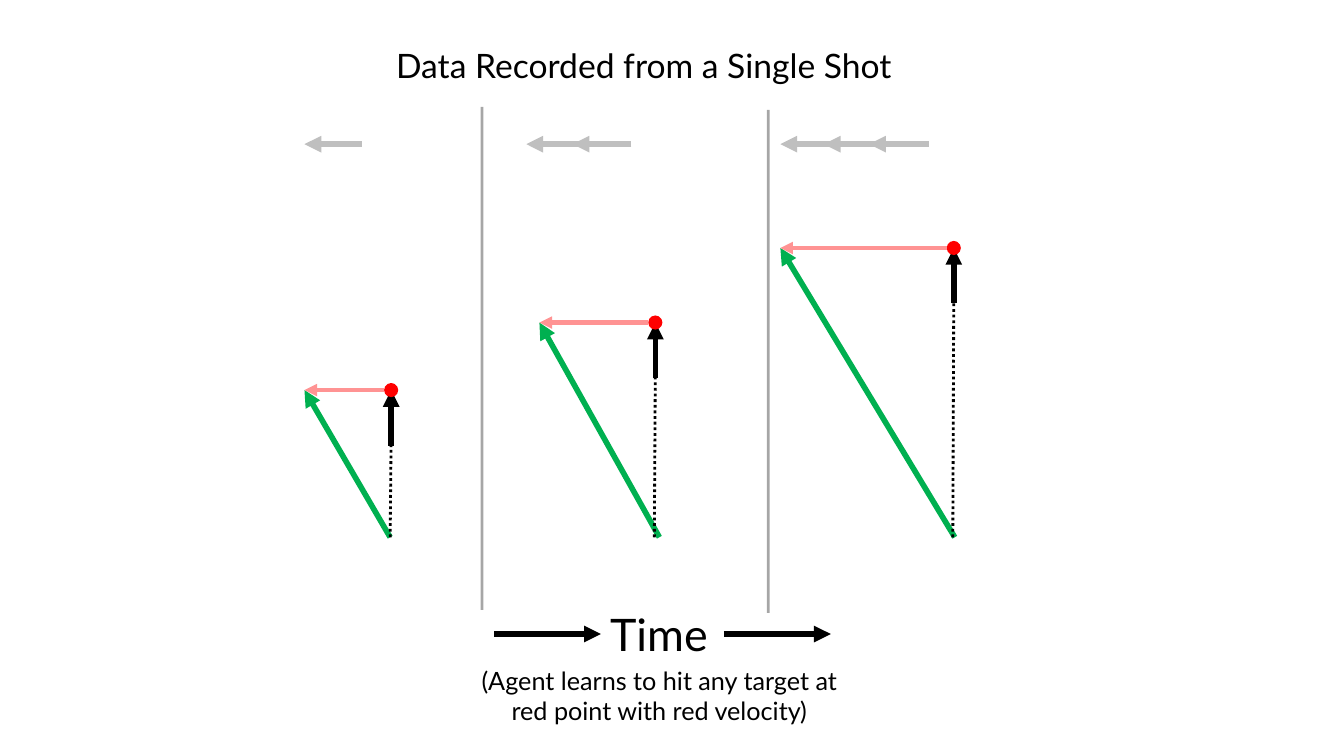
from dataclasses import dataclass

from lxml.etree import SubElement
from pptx import Presentation
from pptx.dml.color import RGBColor
from pptx.enum.dml import MSO_LINE
from pptx.enum.shapes import MSO_CONNECTOR, MSO_SHAPE
from pptx.enum.text import PP_ALIGN
from pptx.oxml.ns import qn
from pptx.util import Inches, Pt


@dataclass(frozen=True)
class Theme:
    """Colours, font, type sizes and line weights."""
    font: str = "Lato"
    ink: str = "000000"
    history: str = "BFBFBF"
    shot: str = "00B050"
    point: str = "FF0000"
    velocity: str = "FF9393"
    title: int = 24
    time: int = 32
    note: int = 18
    heavy: int = 4
    medium: int = 3
    thin: int = 2


@dataclass(frozen=True)
class Box:
    """A rectangle in inches."""
    left: float
    top: float
    width: float
    height: float

    @property
    def right(self):
        """Give the right edge."""
        return self.left + self.width

    @property
    def bottom(self):
        """Give the bottom edge."""
        return self.top + self.height


THEME = Theme()
ARROW_LENGTH = 0.55
DOT_SIZE = 0.14
HISTORY_Y = 1.43
PANELS = [
    {"box": Box(3.02, 3.87, 0.86, 1.46), "launch": 3.87,
     "history_start": 3.59, "history_tips": [3.02]},
    {"box": Box(5.35, 3.2, 1.15, 2.13), "launch": 6.54,
     "history_start": 6.26, "history_tips": [5.22, 5.68]},
    {"box": Box(7.74, 2.46, 1.72, 2.87), "launch": 9.47,
     "history_start": 9.21, "history_tips": [8.17, 8.62, 7.74]},
]


def add_line(page, start, end, color, weight, arrow=True, dash=None, alpha=None):
    """Draw a straight line, with an arrowhead at its end if wanted."""
    line = page.shapes.add_connector(
        MSO_CONNECTOR.STRAIGHT, *(Inches(value) for value in (*start, *end)))
    line.line.color.rgb = RGBColor.from_string(color)
    formats = {"width": Pt(weight), "dash_style": dash}
    for name, value in formats.items():
        setattr(line.line, name, value)
    properties = line._element.spPr
    outline = properties.find(qn("a:ln"))
    if alpha:
        SubElement(outline.find(".//" + qn("a:srgbClr")), qn("a:alpha"),
                   val=str(alpha * 1000))
    if arrow:
        SubElement(outline, qn("a:tailEnd"), type="triangle")
    SubElement(properties, qn("a:effectLst"))


def add_label(page, box, text, size):
    """Write centred text in a box."""
    label = page.shapes.add_textbox(
        *(Inches(value) for value in (box.left, box.top, box.width, box.height)))
    label.text_frame.word_wrap = True
    para = label.text_frame.paragraphs[0]
    para.alignment = PP_ALIGN.CENTER
    span = para.add_run()
    span.text = text
    span.font.color.rgb = RGBColor.from_string(THEME.ink)
    for name, value in {"name": THEME.font, "size": Pt(size)}.items():
        setattr(span.font, name, value)


def add_dot(page, x, y):
    """Mark the target point."""
    dot = page.shapes.add_shape(
        MSO_SHAPE.OVAL, Inches(x - DOT_SIZE / 2), Inches(y - DOT_SIZE / 2),
        Inches(DOT_SIZE), Inches(DOT_SIZE))
    dot.shadow.inherit = False
    dot.fill.solid()
    dot.fill.fore_color.rgb = RGBColor.from_string(THEME.point)
    dot.line.fill.background()


def add_panel(page, box, launch, history_start, history_tips):
    """Draw one moment of the shot, with its velocity history above."""
    for tip in history_tips:
        add_line(page, (history_start, HISTORY_Y), (tip, HISTORY_Y),
                 THEME.history, THEME.heavy)
    add_line(page, (box.right, box.top + ARROW_LENGTH), (box.right, box.top),
             THEME.ink, THEME.heavy)
    add_line(page, (launch, box.bottom), (box.left, box.top),
             THEME.shot, THEME.heavy)
    add_dot(page, box.right, box.top)
    add_line(page, (box.right - 0.01, box.bottom), (box.right, box.top + 0.4),
             THEME.ink, THEME.thin, arrow=False, dash=MSO_LINE.ROUND_DOT)
    add_line(page, (box.right - DOT_SIZE / 2, box.top), (box.left, box.top),
             THEME.velocity, THEME.medium)


def add_divider(page, box):
    """Draw the pale line between two panels."""
    add_line(page, (box.left, box.top), (box.left, box.bottom), THEME.ink,
             THEME.thin, arrow=False, dash=MSO_LINE.SOLID, alpha=34)


def add_time_axis(page, box):
    """Write the time label between two arrows, with the note below."""
    middle = box.top + 0.32
    for left in (box.left, box.right - 1.06):
        add_line(page, (left, middle), (left + 1.06, middle),
                 THEME.ink, THEME.heavy)
    add_label(page, Box(box.left + 0.99, box.top, 1.29, 0.64), "Time", THEME.time)
    add_label(page, Box(box.left - 0.33, box.top + 0.58, 3.94, 0.71),
              "(Agent learns to hit any target at red point with red velocity)",
              THEME.note)


def main():
    """Build the slide and save it."""
    deck = Presentation()
    deck.slide_width, deck.slide_height = Inches(13.33), Inches(7.5)
    page = deck.slides.add_slide(deck.slide_layouts[6])
    add_label(page, Box(3.67, 0.4, 5.43, 0.5),
              "Data Recorded from a Single Shot", THEME.title)
    for panel in PANELS:
        add_panel(page, **panel)
    for left, top in ((4.78, 1.06), (7.62, 1.09)):
        add_divider(page, Box(left, top, 0, 4.99))
    add_time_axis(page, Box(4.9, 5.97, 3.34, 1.29))
    deck.save("out.pptx")


if __name__ == "__main__":
    main()
